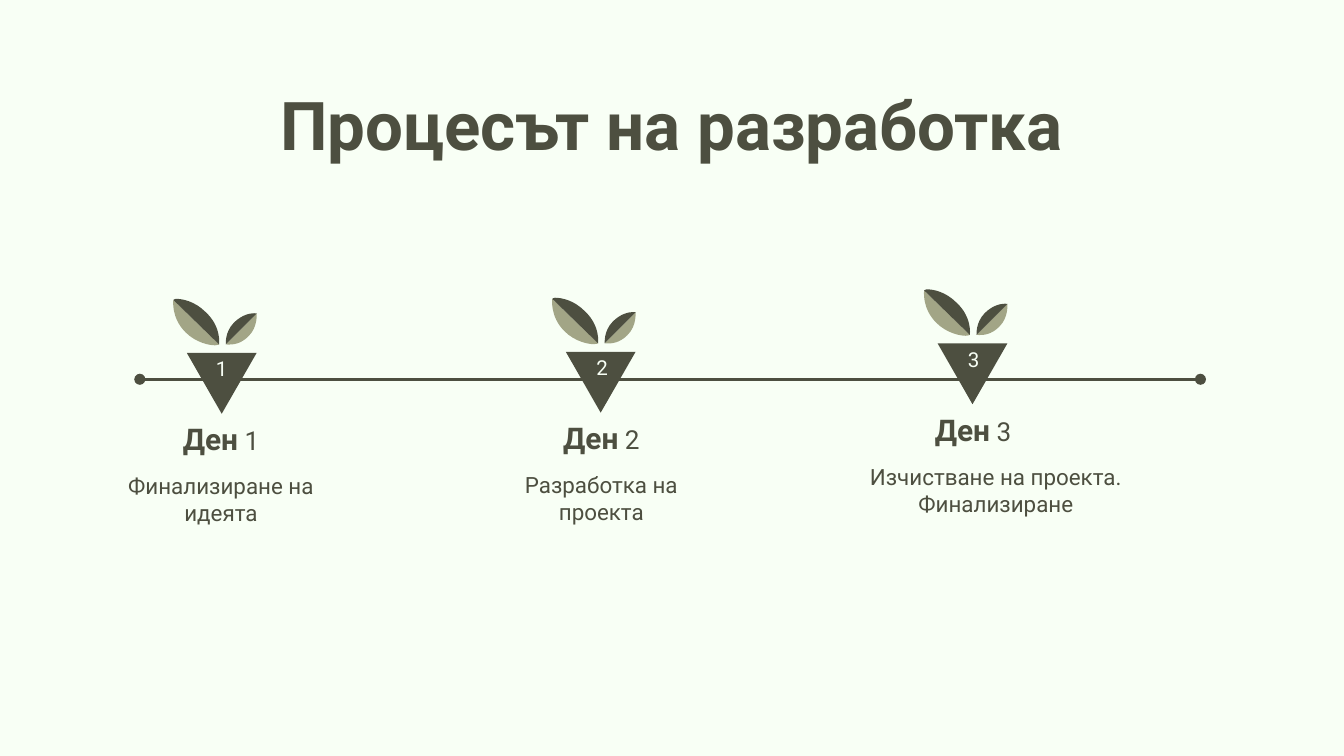
from dataclasses import dataclass
from pptx import Presentation
from pptx.dml.color import RGBColor
from pptx.enum import shapes, text
from pptx.oxml import ns, xmlchemy
from pptx.util import Pt

DARK = RGBColor(0x4D, 0x4F, 0x40)
SAGE = RGBColor(0xA2, 0xA5, 0x86)
MINT = RGBColor(0xF8, 0xFF, 0xF5)
FONT = "Roboto"

Point = tuple[float, float]


@dataclass
class Box:
    left: float
    top: float
    width: float
    height: float


@dataclass
class Run:
    text: str
    size: float
    color: RGBColor = DARK
    bold: bool = False


@dataclass
class Leaf:
    """Half a leaf: start, then three points a curve; the midrib closes it."""
    color: RGBColor
    points: list[Point]


@dataclass
class Stage:
    """A day on the line; left and top are the pot's, side is the text's."""
    left: float
    top: float
    side: float
    number: int
    note: str
    width: float = 119.5


# Points relative to the top left corner of the pot
TIP, BASE = (-7.2, -28.4), (17.3, -4.6)
END, ROOT = (37.4, -21.2), (20.9, -4.6)
LEAVES = [
    Leaf(SAGE, [TIP, TIP, (-8.6, -19), (-0.7, -11.1),
                (5, -5.4), (12.2, -4.1), (15.1, -4.1),
                (16.6, -4.1), BASE, BASE]),
    Leaf(DARK, [BASE, BASE, (18.7, -14), (10.1, -21.9),
                (4.3, -27.7), (-2.2, -29), (-5.8, -29),
                (-6.5, -29), TIP, TIP]),
    Leaf(SAGE, [ROOT, ROOT, (21.6, -4.5), (22.3, -4.5),
                (24.5, -4.5), (28.8, -4.6), (33.1, -9),
                (38.2, -14), END, END]),
    Leaf(DARK, [ROOT, ROOT, (20.2, -11.1), (25.2, -16.2),
                (29.5, -20.5), (33.8, -21.3), (36, -21.3),
                (36.7, -21.3), END, END]),
]
POT = [(0, 0), (18.7, 32.6), (37.4, 0)]

STAGES = [
    Stage(100.1, 189.1, 58.3, 1, "Финализиране на идеята"),
    Stage(303.1, 188.5, 262.1, 2, "Разработка на проекта"),
    Stage(502.3, 184, 461.2, 3, "Изчистване на проекта. Финализиране", 144),
]


def add_text(slide, box: Box, runs: list[Run], inset: float = 0.7,
             gap: float = 8, anchor=text.MSO_ANCHOR.TOP) -> None:
    shape = slide.shapes.add_textbox(
        Pt(box.left), Pt(box.top), Pt(box.width), Pt(box.height))
    frame = shape.text_frame
    frame.word_wrap = True
    frame.vertical_anchor = anchor
    frame.margin_right = frame.margin_bottom = 0
    frame.margin_left = frame.margin_top = Pt(inset)
    para = frame.paragraphs[0]
    para.alignment = text.PP_ALIGN.CENTER
    para.space_before = Pt(gap)
    for item in runs:
        run = para.add_run()
        run.text = item.text
        font = run.font
        font.name, font.size, font.bold = FONT, Pt(item.size), item.bold
        font.color.rgb = item.color


def add_form(slide, stage: Stage, points: list[Point], color: RGBColor):
    first, *rest = [(Pt(stage.left + x), Pt(stage.top + y)) for x, y in points]
    form = slide.shapes.build_freeform(*first)
    form.add_line_segments(rest, close=True)
    shape = form.convert_to_shape()
    shape.shadow.inherit = False
    shape.fill.solid()
    shape.fill.fore_color.rgb = color
    shape.line.fill.background()
    return shape


def add_leaf(slide, stage: Stage, leaf: Leaf):
    """Draw the leaf, turning every three lines into one cubic curve."""
    shape = add_form(slide, stage, leaf.points, leaf.color)
    lines = list(shape._element.iter(ns.qn("a:lnTo")))
    count = len(leaf.points) - 1
    for at in range(0, count, 3):
        curve = xmlchemy.OxmlElement("a:cubicBezTo")
        lines[at].addprevious(curve)
        for line in lines[at:at + 3]:
            curve.append(line[0])
            line.getparent().remove(line)
    return shape


def add_axis(slide) -> None:
    axis = slide.shapes.add_connector(
        shapes.MSO_CONNECTOR.STRAIGHT, Pt(74.9), Pt(203.2), Pt(643.1), Pt(203.2))
    axis.line.color.rgb = DARK
    axis.line.width = Pt(1.5)
    line = axis.line._get_or_add_ln()
    for tag in ("a:headEnd", "a:tailEnd"):
        end = xmlchemy.OxmlElement(tag)
        end.set("type", "oval")
        line.append(end)
    props = axis._element.find(ns.qn("p:spPr"))
    props.append(xmlchemy.OxmlElement("a:effectLst"))


def add_stage(slide, stage: Stage) -> None:
    parts = [add_leaf(slide, stage, leaf) for leaf in LEAVES]
    parts.append(add_form(slide, stage, POT, DARK))
    slide.shapes.add_group_shape(parts)
    side, top = stage.side, stage.top
    add_text(slide, Box(side + 44.6, top - 4.7, 31, 25.2),
             [Run(str(stage.number), 11, MINT)],
             anchor=text.MSO_ANCHOR.MIDDLE)
    add_text(slide, Box(side, top + 35.6, 119.5, 22.3),
             [Run("Ден", 16, bold=True), Run(f" {stage.number}", 14)])
    add_text(slide, Box(side, top + 63.3, stage.width, 57.6),
             [Run(stage.note, 12)])


def main() -> None:
    deck = Presentation()
    deck.slide_width, deck.slide_height = Pt(720), Pt(405)
    slide = deck.slides.add_slide(deck.slide_layouts[6])
    slide.background.fill.solid()
    slide.background.fill.fore_color.rgb = MINT
    add_text(slide, Box(55.6, 44.6, 608.4, 72),
             [Run("Процесът на разработка", 36, bold=True)], inset=0, gap=0)
    add_axis(slide)
    for stage in STAGES:
        add_stage(slide, stage)
    deck.save("out.pptx")


if __name__ == "__main__":
    main()
